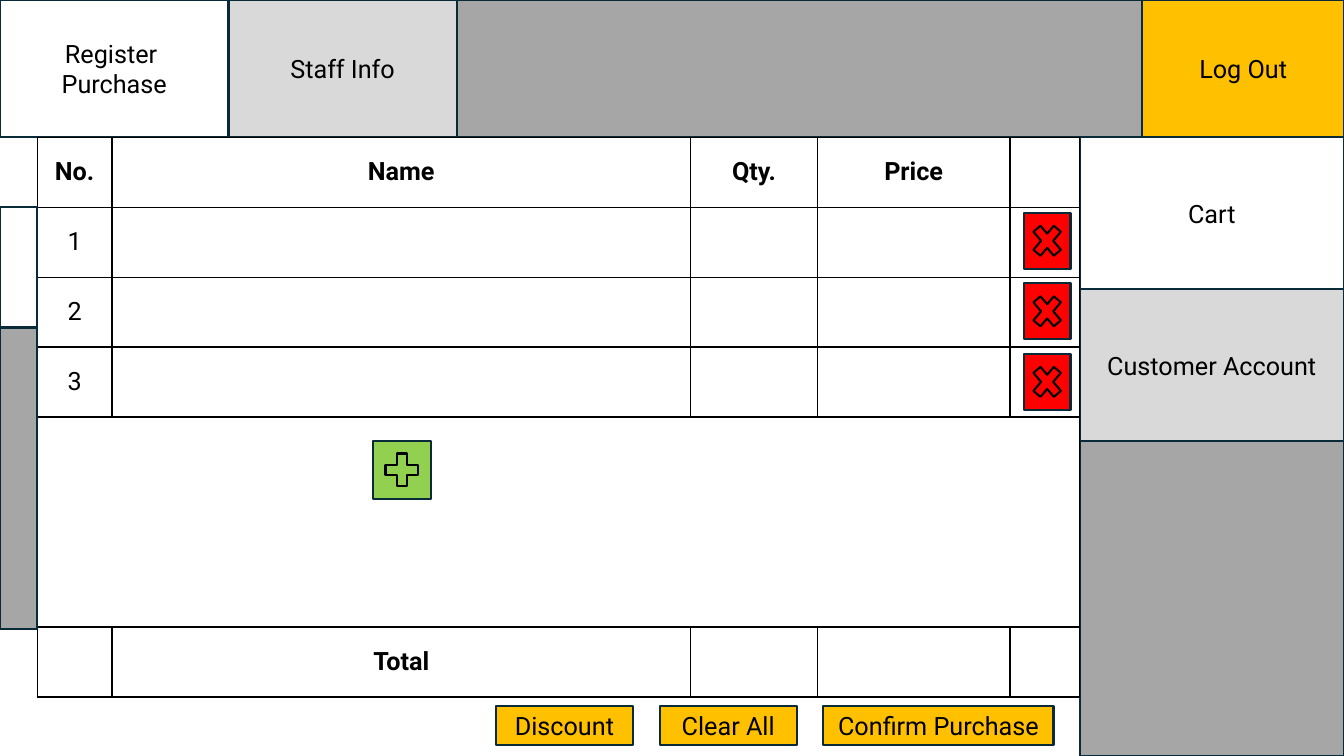
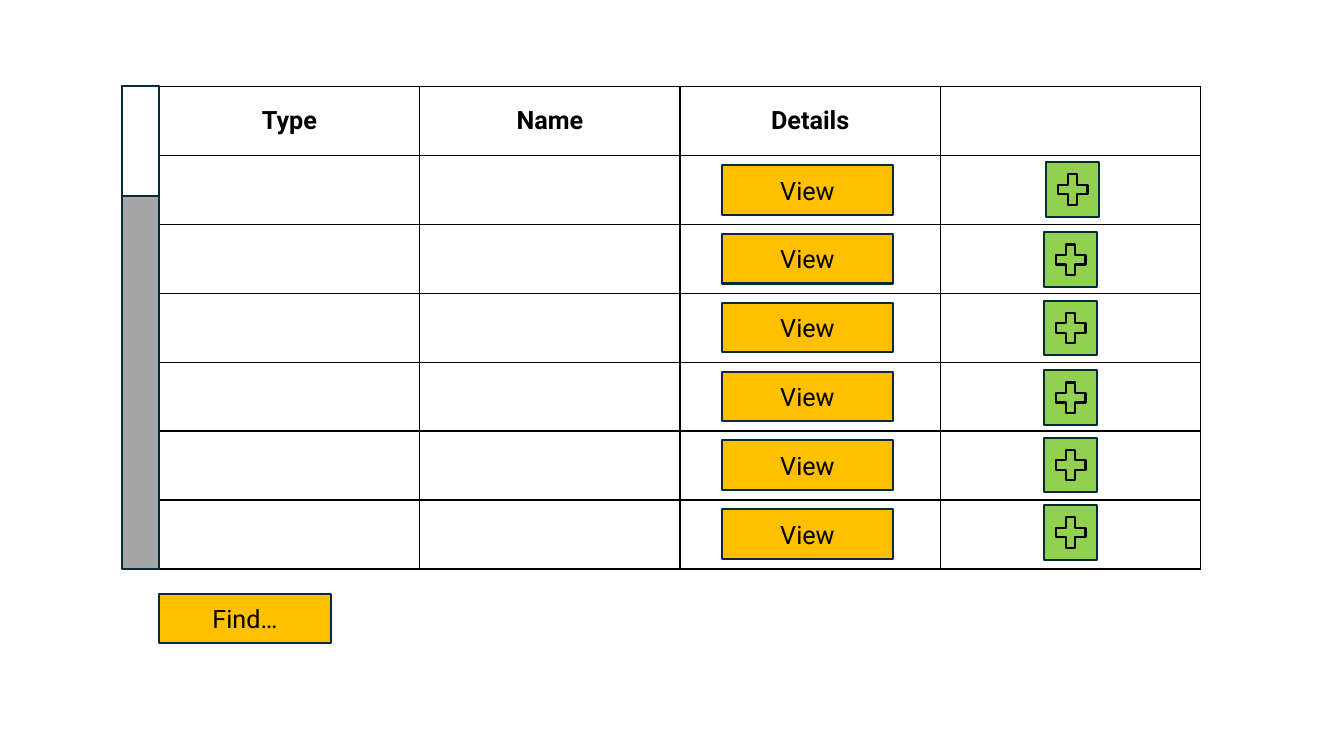
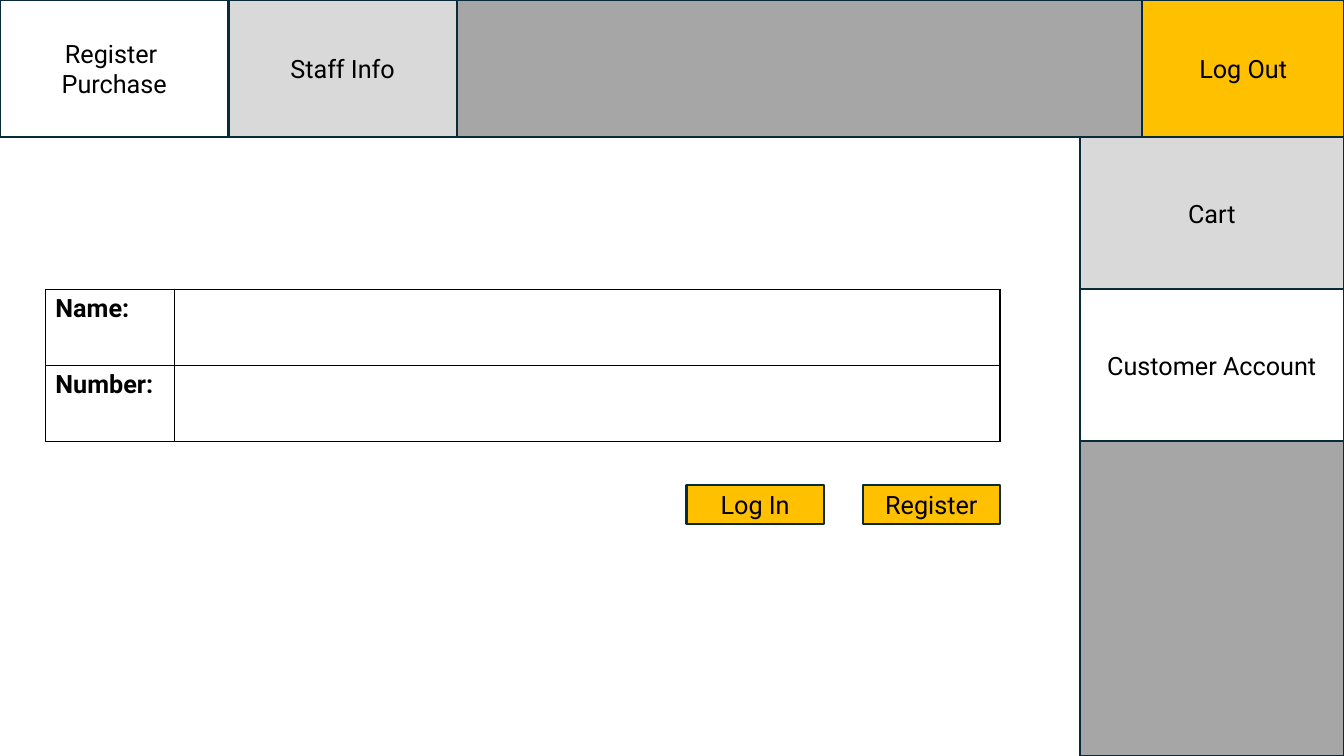
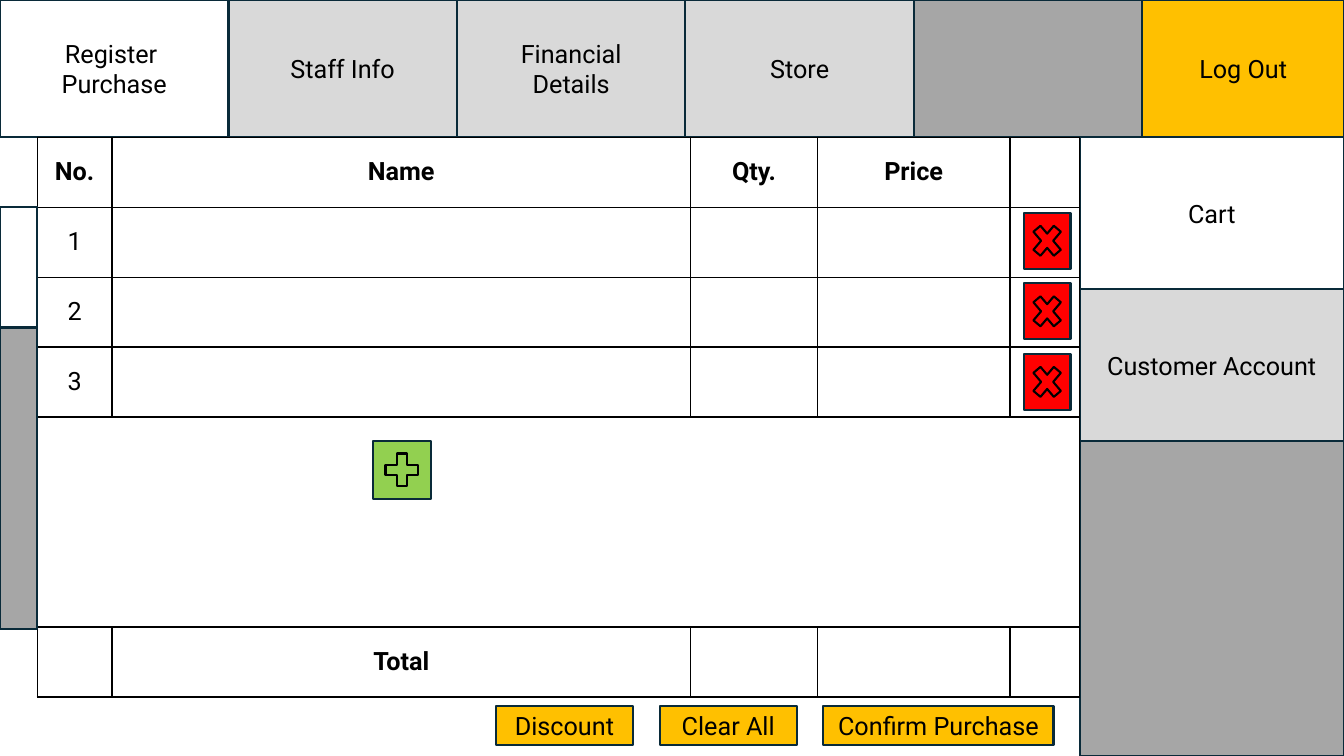
from lxml.etree import SubElement
from pptx import Presentation
from pptx.dml.color import RGBColor
from pptx.enum.shapes import MSO_SHAPE
from pptx.enum.text import MSO_ANCHOR, PP_ALIGN
from pptx.oxml.ns import qn
from pptx.util import Pt

# Colours
BLACK = RGBColor(0x00, 0x00, 0x00)
WHITE = RGBColor(0xFF, 0xFF, 0xFF)
LIGHT_GREY = RGBColor(0xD9, 0xD9, 0xD9)
MID_GREY = RGBColor(0xA6, 0xA6, 0xA6)
OUTLINE = RGBColor(0x09, 0x2A, 0x39)
AMBER = RGBColor(0xFF, 0xC0, 0x00)
RED = RGBColor(0xFF, 0x00, 0x00)
GREEN = RGBColor(0x92, 0xD0, 0x50)

# Shared measures, in points
SLIDE_WIDTH, SLIDE_HEIGHT = 960, 540
HEADER_HEIGHT = 98
TAB_WIDTH = 163.2
LOG_OUT_WIDTH = 144
SIDEBAR_LEFT = 771.2
SIDEBAR_WIDTH = SLIDE_WIDTH - SIDEBAR_LEFT
SIDE_TAB_HEIGHT = 108.6
SCROLL_WIDTH = 26.6
BUTTON_WIDTH, BUTTON_HEIGHT = 98, 28.1


class ScreenBuilder:
    """Holds the style and the current slide."""

    font_name = "Roboto"
    font_size = 18

    def __init__(self):
        self.presentation = Presentation()
        self.presentation.slide_width = Pt(SLIDE_WIDTH)
        self.presentation.slide_height = Pt(SLIDE_HEIGHT)
        self.slide = None

    def new_slide(self):
        blank_layout = self.presentation.slide_layouts[6]
        self.slide = self.presentation.slides.add_slide(blank_layout)

    def add_text(self, text_frame, text, alignment, bold=False):
        for index, line in enumerate(text.split("\n")):
            paragraph = text_frame.paragraphs[0] if index == 0 else text_frame.add_paragraph()
            paragraph.alignment = alignment
            run = paragraph.add_run()
            run.text = line
            run.font.name = self.font_name
            run.font.size = Pt(self.font_size)
            run.font.bold = bold
            run.font.color.rgb = BLACK

    def box(self, left, top, width, height, fill, text="", kind=MSO_SHAPE.RECTANGLE,
            line=OUTLINE, parent=None):
        shapes = (parent or self.slide).shapes
        shape = shapes.add_shape(kind, Pt(left), Pt(top), Pt(width), Pt(height))
        shape.shadow.inherit = False
        shape.fill.solid()
        shape.fill.fore_color.rgb = fill
        shape.line.color.rgb = line
        shape.line.width = Pt(1.5)
        if text:
            shape.text_frame.vertical_anchor = MSO_ANCHOR.MIDDLE
            self.add_text(shape.text_frame, text, PP_ALIGN.CENTER)

    def icon_button(self, left, top, width, height, fill, symbol, symbol_width, symbol_height):
        group = self.slide.shapes.add_group_shape()
        self.box(left, top, width, height, fill, parent=group)
        self.box(left + (width - symbol_width) / 2, top + (height - symbol_height) / 2,
                 symbol_width, symbol_height, fill, kind=symbol, line=BLACK, parent=group)

    def button_row(self, left, top, gap, buttons):
        for text, width in buttons:
            self.box(left, top, width, BUTTON_HEIGHT, AMBER, text)
            left += width + gap

    def scroll_bar(self, left, top, height, thumb_height):
        self.box(left, top, SCROLL_WIDTH, height, MID_GREY)
        self.box(left, top, SCROLL_WIDTH, thumb_height, WHITE)

    def format_cell(self, cell, fill):
        properties = cell._tc.get_or_add_tcPr()
        for side in ("a:lnL", "a:lnR", "a:lnT", "a:lnB"):
            border = SubElement(properties, qn(side), w=str(Pt(1)))
            solid = SubElement(border, qn("a:solidFill"))
            SubElement(solid, qn("a:srgbClr"), val=str(BLACK))
        if fill is None:
            cell.fill.background()
        else:
            cell.fill.solid()
            cell.fill.fore_color.rgb = fill

    def table(self, left, top, column_widths, row_heights, texts, fill=None,
              alignment=PP_ALIGN.CENTER, anchor=MSO_ANCHOR.MIDDLE):
        """texts maps (row, column) to wording; all but plain numbers are bold."""
        frame = self.slide.shapes.add_table(
            len(row_heights), len(column_widths), Pt(left), Pt(top),
            Pt(sum(column_widths)), Pt(sum(row_heights)))
        table = frame.table
        table.first_row = table.horz_banding = False
        for column, width in zip(table.columns, column_widths):
            column.width = Pt(width)
        for row, height in zip(table.rows, row_heights):
            row.height = Pt(height)
        for cell in table.iter_cells():
            self.format_cell(cell, fill)
        for (row, column), text in texts.items():
            cell = table.cell(row, column)
            cell.vertical_anchor = anchor
            self.add_text(cell.text_frame, text, alignment, bold=not text.isdigit())
        return table

    def navigation(self, active_side_tab, extra_tabs=()):
        """Header band with its tabs and the sidebar."""
        self.box(0, 0, SLIDE_WIDTH, HEADER_HEIGHT, MID_GREY)
        self.box(SIDEBAR_LEFT, HEADER_HEIGHT, SIDEBAR_WIDTH,
                 SLIDE_HEIGHT - HEADER_HEIGHT, MID_GREY)
        self.box(SLIDE_WIDTH - LOG_OUT_WIDTH, 0, LOG_OUT_WIDTH, HEADER_HEIGHT, AMBER, "Log Out")
        for index, text in enumerate(("Register \nPurchase", "Staff Info", *extra_tabs)):
            self.box(index * TAB_WIDTH, 0, TAB_WIDTH, HEADER_HEIGHT,
                     LIGHT_GREY if index else WHITE, text)
        for index, text in enumerate(("Cart", "Customer Account")):
            self.box(SIDEBAR_LEFT, HEADER_HEIGHT + index * SIDE_TAB_HEIGHT,
                     SIDEBAR_WIDTH, SIDE_TAB_HEIGHT,
                     WHITE if text == active_side_tab else LIGHT_GREY, text)


def cart_screen(builder, extra_tabs=()):
    builder.new_slide()
    builder.navigation("Cart", extra_tabs)

    # Purchase table, with one merged row for adding an item
    texts = {(0, column): text for column, text in enumerate(("No.", "Name", "Qty.", "Price"))}
    texts.update({(number, 0): str(number) for number in (1, 2, 3)})
    texts[5, 1] = "Total"
    table = builder.table(SCROLL_WIDTH, HEADER_HEIGHT, (53.4, 413.3, 90.6, 137.6, 49.7),
                          (50, 50, 50, 50, 150, 50), texts)
    table.cell(4, 0).merge(table.cell(4, 4))
    builder.scroll_bar(0, 147.6, 301.6, 86.4)

    # Delete and add buttons
    for index in range(3):
        builder.icon_button(731.3, 152 + index * 50.4, 33.4, 40, RED,
                            MSO_SHAPE.MATH_MULTIPLY, 28, 33)
    builder.icon_button(266.2, 315, 41.8, 41.4, GREEN, MSO_SHAPE.MATH_PLUS, 32, 32)

    builder.button_row(354.2, 504, 19, (("Discount", BUTTON_WIDTH), ("Clear All", BUTTON_WIDTH),
                                        ("Confirm Purchase", 164.4)))


def item_list_screen(builder):
    builder.new_slide()
    left, top, row_height, row_count = 113.8, 61.7, 49.25, 7
    view_width, view_height = 122.4, 35.4
    headings = {(0, column): text for column, text in enumerate(("Type", "Name", "Details"))}
    builder.table(left, top, [186] * 4, [row_height] * row_count, headings, WHITE)
    builder.scroll_bar(left - SCROLL_WIDTH, top, row_height * row_count, 78.5)

    # View and add buttons, one pair to a row
    add_positions = ((747.4, 115.8), (746, 166), (746, 214.8),
                     (746, 264.6), (746, 312.7), (746, 360.8))
    for index, (add_left, add_top) in enumerate(add_positions):
        builder.box(515.6, 118 + index * 49.15, view_width, view_height, AMBER, "View")
        builder.icon_button(add_left, add_top, 37.5, 39, GREEN, MSO_SHAPE.MATH_PLUS, 29, 29.5)
    builder.box(left, 424, view_width, view_height, AMBER, "Find…")


def account_screen(builder):
    builder.new_slide()
    builder.navigation("Customer Account")
    builder.table(32.4, HEADER_HEIGHT + SIDE_TAB_HEIGHT, (92.2, 589.8),
                  [SIDE_TAB_HEIGHT / 2] * 2, {(0, 0): "Name:", (1, 0): "Number:"}, WHITE,
                  PP_ALIGN.LEFT, MSO_ANCHOR.TOP)
    builder.button_row(490.4, 346.2, 27.8, (("Log In", BUTTON_WIDTH), ("Register", BUTTON_WIDTH)))


def main():
    builder = ScreenBuilder()
    cart_screen(builder)
    item_list_screen(builder)
    account_screen(builder)
    cart_screen(builder, ("Financial\nDetails", "Store"))
    builder.presentation.save("out.pptx")


if __name__ == "__main__":
    main()
